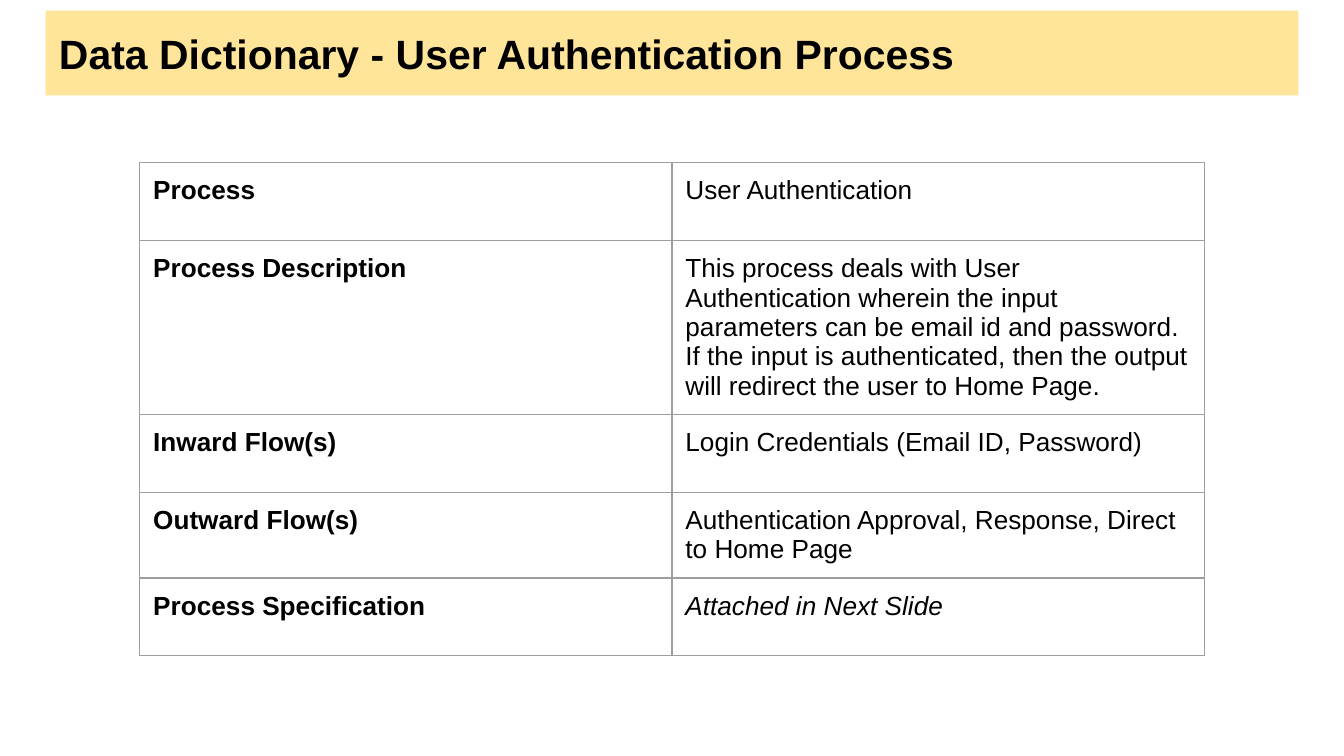
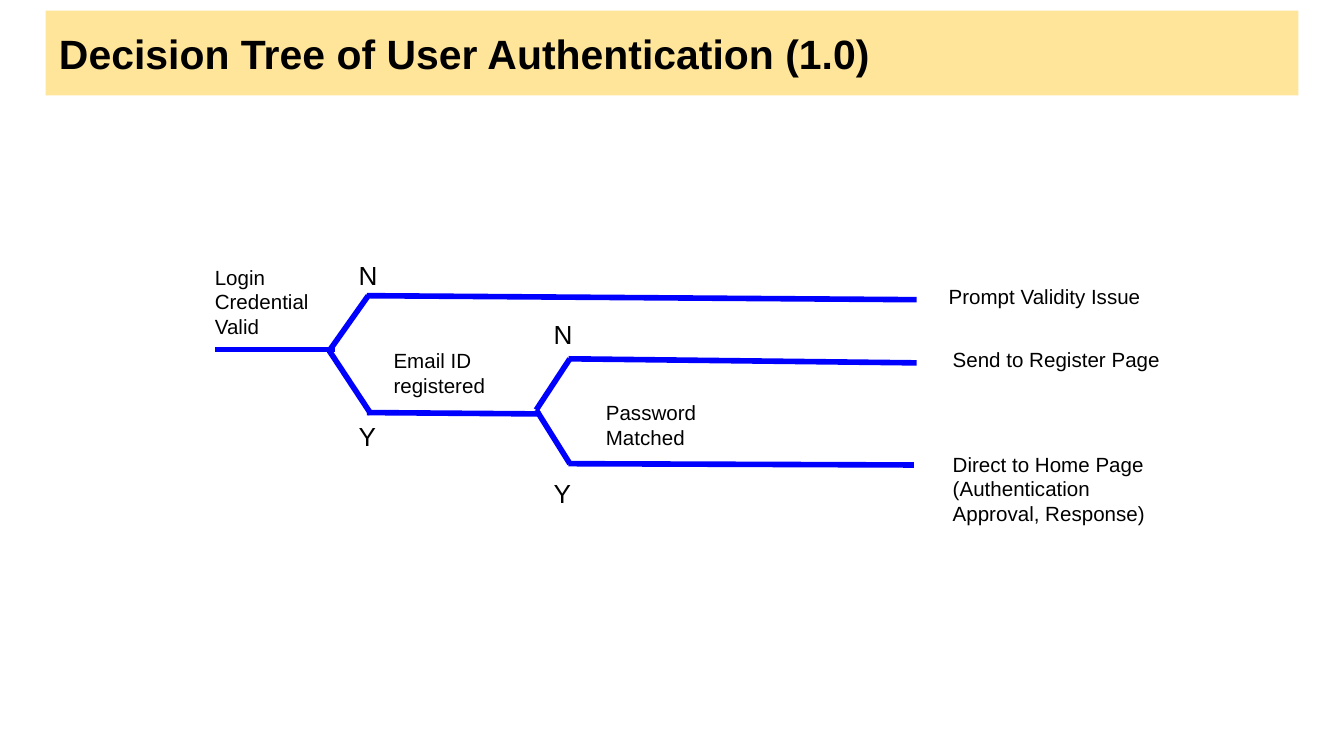
from lxml.etree import SubElement, fromstring
from pptx import Presentation
from pptx.dml.color import RGBColor
from pptx.enum.shapes import MSO_CONNECTOR as Connector, MSO_SHAPE as Shape
from pptx.enum.text import MSO_ANCHOR as Anchor, MSO_AUTO_SIZE as AutoSize
from pptx.oxml.ns import nsdecls, qn
from pptx.util import Inches, Pt

BLACK = RGBColor(0x00, 0x00, 0x00)
BAND = RGBColor(0xFF, 0xE5, 0x99)
BRANCH = RGBColor(0x00, 0x00, 0xFF)
RULE = RGBColor(0x9E, 0x9E, 0x9E)
FONT = "Arial"
INSET = Inches(0.1)
WIDTH = Inches(10)
HEIGHT = WIDTH * 9 // 16
COLUMNS = 100
UNIT = WIDTH / COLUMNS


def grid(*cells):
    return [round(cell * UNIT) for cell in cells]


def write(frame, text, *, size, bold=False, italic=False, anchor=Anchor.TOP):
    frame.word_wrap = True
    frame.vertical_anchor = anchor
    frame.margin_left = frame.margin_right = INSET
    frame.margin_top = frame.margin_bottom = INSET
    for index, line in enumerate(text.split("\n")):
        paragraph = frame.add_paragraph() if index else frame.paragraphs[0]
        run = paragraph.add_run()
        run.text = line
        font = run.font
        font.name, font.size = FONT, Pt(size)
        font.bold, font.italic = bold, italic
        font.color.rgb = BLACK


class Deck:
    def __init__(self):
        self.presentation = Presentation()
        self.presentation.slide_width = WIDTH
        self.presentation.slide_height = HEIGHT
        self.slide = None

    def start(self, heading):
        blank = self.presentation.slide_layouts[6]
        self.slide = self.presentation.slides.add_slide(blank)
        band = self.slide.shapes.add_shape(Shape.RECTANGLE, *grid(3.4, 0.8, 93.2, 6.3))
        band.shadow.inherit = False
        band.fill.solid()
        band.fill.fore_color.rgb = BAND
        band.line.fill.background()
        write(band.text_frame, heading, size=21.9, bold=True, anchor=Anchor.MIDDLE)
        band.text_frame.paragraphs[0].alignment = 1

    def label(self, text, left, top, width, height, size=11):
        box = self.slide.shapes.add_textbox(*grid(left, top, width, height))
        write(box.text_frame, text, size=size)
        box.text_frame.auto_size = AutoSize.SHAPE_TO_FIT_TEXT

    def line(self, start, end):
        branch = self.slide.shapes.add_connector(Connector.STRAIGHT, *grid(*start, *end))
        branch.line.color.rgb = BRANCH
        branch.line.width = Pt(3)
        SubElement(branch._element.spPr, qn("a:effectLst"))

    def table(self, entries, left, top, column_width, row_height):
        area = grid(left, top, 2 * column_width, row_height * len(entries))
        table = self.slide.shapes.add_table(len(entries), 2, *area).table
        table.first_row = table.horz_banding = False
        for row, (term, meaning, italic) in zip(table.rows, entries):
            row.height = grid(row_height)[0]
            self.cell(row.cells[0], term, bold=True)
            self.cell(row.cells[1], meaning, italic=italic)

    def cell(self, cell, text, **style):
        write(cell.text_frame, text, size=14, **style)
        cell.margin_left = cell.margin_right = INSET
        cell.margin_top = cell.margin_bottom = INSET
        cell.vertical_anchor = Anchor.TOP
        cell.fill.background()
        properties = cell._tc.get_or_add_tcPr()
        for index, side in enumerate("LRTB"):
            properties.insert(index, fromstring(
                f'<a:ln{side} {nsdecls("a")} w="{Pt(0.75)}"><a:solidFill>'
                f'<a:srgbClr val="{RULE}"/></a:solidFill></a:ln{side}>'))


def data_dictionary(deck):
    deck.start("Data Dictionary - User Authentication Process")
    deck.table([
        ("Process", "User Authentication", False),
        ("Process Description",
         "This process deals with User Authentication wherein the input "
         "parameters can be email id and password. If the input is "
         "authenticated, then the output will redirect the user to Home Page.", False),
        ("Inward Flow(s)", "Login Credentials (Email ID, Password)", False),
        ("Outward Flow(s)", "Authentication Approval, Response, Direct to Home Page", False),
        ("Process Specification", "Attached in Next Slide", True),
    ], left=10.4, top=12.1, column_width=39.6, row_height=5.8)


def decision_tree(deck):
    deck.start("Decision Tree of User Authentication (1.0)")

    forks = [
        ((24.5, 26.1), (27.4, 22), (27.6, 30.8), 25.7, (18.3, 30.3)),
        ((39.9, 30.5), (42.4, 26.7), (42.4, 34.5), 40.2, (22.7, 34.5)),
    ]
    for joint, no_end, yes_end, answer_left, answer_tops in forks:
        deck.line(joint, no_end)
        deck.line(yes_end, joint)
        for answer, top in zip("NY", answer_tops):
            deck.label(answer, answer_left, top, 3.9, 4.4, size=14)

    stems = [
        ((16, 26), (24.9, 26)),
        ((27.3, 22), (68.2, 22.3)),
        ((27.3, 30.7), (40.2, 30.8)),
        ((42.3, 26.7), (68.2, 27)),
        ((42.3, 34.5), (68, 34.6)),
    ]
    for start, end in stems:
        deck.line(start, end)

    deck.label("Login Credential Valid", 15, 18.7, 10.9, 9.4)
    deck.label("Email ID registered", 28.3, 24.9, 13.3, 5.7)
    deck.label("Password Matched", 44.1, 28.8, 13.3, 5.7)
    deck.label("Prompt Validity Issue", 69.6, 20.2, 18.2, 3.9)
    deck.label("Send to Register Page", 69.9, 24.9, 18.2, 3.9)
    deck.label("Direct to Home Page\n(Authentication Approval, Response)",
               69.9, 32.6, 18.2, 9.4)


def main():
    deck = Deck()
    data_dictionary(deck)
    decision_tree(deck)
    deck.presentation.save("out.pptx")


if __name__ == "__main__":
    main()
